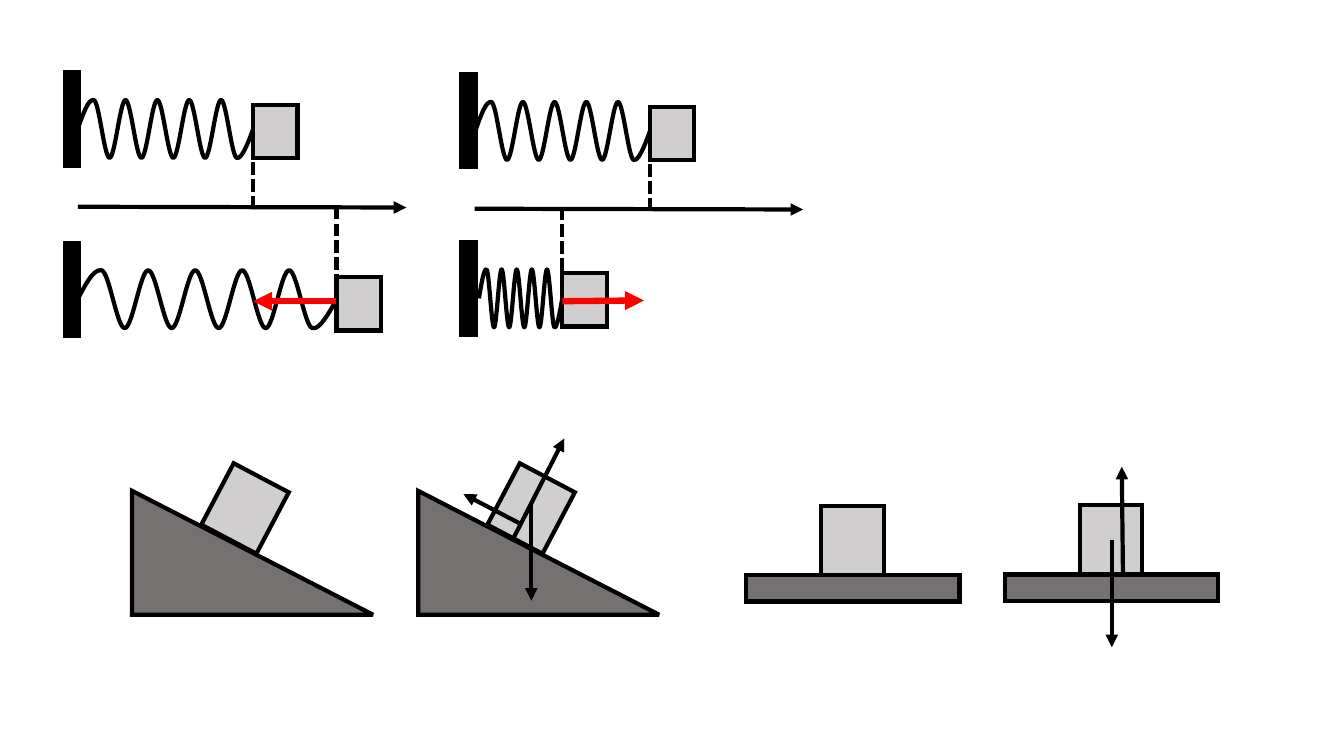
from dataclasses import dataclass
from lxml.etree import SubElement
from pptx import Presentation
from pptx.dml.color import RGBColor
from pptx.enum.dml import MSO_LINE
from pptx.enum.shapes import MSO_CONNECTOR, MSO_SHAPE
from pptx.oxml.ns import qn
from pptx.util import Cm, Pt


@dataclass
class Theme:
    ink: RGBColor = RGBColor(0, 0, 0)
    block: RGBColor = RGBColor(0xD0, 0xCE, 0xCE)
    ground: RGBColor = RGBColor(0x76, 0x71, 0x71)
    force: RGBColor = RGBColor(0xFF, 0, 0)
    thin: float = 3
    thick: float = 4.5


theme = Theme()
deck = Presentation()
deck.slide_width, deck.slide_height = Cm(33.87), Cm(19.05)
shapes = deck.slides.add_slide(deck.slide_layouts[6]).shapes


def solid(kind, x, y, wide, high, fill, turn=0):
    shape = shapes.add_shape(kind, Cm(x), Cm(y), Cm(wide), Cm(high))
    shape.shadow.inherit = False
    shape.rotation = turn
    shape.fill.solid()
    shape.fill.fore_color.rgb = fill
    shape.line.color.rgb = theme.ink
    shape.line.width = Pt(theme.thin)
    edge = shape.element.spPr.find(qn("a:ln"))
    SubElement(edge, qn("a:miter"), lim="800000")


def stroke(start, end, color=theme.ink, width=theme.thin, dots=False):
    line = shapes.add_connector(MSO_CONNECTOR.STRAIGHT, *map(Cm, start + end))
    line.line.color.rgb = color
    line.line.width = Pt(width)
    prop = line.element.spPr
    if dots:
        line.line.dash_style = MSO_LINE.SQUARE_DOT
    else:
        SubElement(prop.find(qn("a:ln")), qn("a:tailEnd"), type="triangle")
    SubElement(prop, qn("a:effectLst"))


step, swing = 0.0908, 0.73
knots = [(n * step, swing * (-1) ** n) for n in range(1, 11)]
curve = [(0.033, -0.41), (0.06, -0.75), (step, -swing)]
for (left, high), (right, low) in zip(knots, knots[1:]):
    curve += [(left + step / 3, high), (right - step / 3, low), (right, low)]
curve += [(0.94, 0.8), (1, 0), (1, 0)]

springs = [
    (1.63, 1.83, 1.96, 4.42, 2.64),
    (1.63, 6.12, 1.96, 6.52, 6.98),
    (11.63, 1.88, 11.98, 4.4, 2.69),
    (11.63, 6.1, 12.07, 2.1, 6.88),
]
for wall, top, start, span, lid in springs:
    mid = top + 1.42
    pen = shapes.build_freeform(Cm(start), Cm(mid))
    pen.add_line_segments(
        [(Cm(start + x * span), Cm(mid + y)) for x, y in curve], close=False)
    coil = pen.convert_to_shape()
    coil.shadow.inherit = False
    coil.fill.background()
    coil.line.color.rgb = theme.ink
    coil.line.width = Pt(theme.thin)
    trace = next(coil.element.iter(qn("a:path")))
    parts = trace.findall(qn("a:lnTo"))
    for n in range(0, len(parts), 3):
        bend = SubElement(trace, qn("a:cubicBezTo"))
        for part in parts[n:n + 3]:
            bend.append(part[0])
            trace.remove(part)
    solid(MSO_SHAPE.RECTANGLE, wall, top, 0.36, 2.34, theme.ink)
    solid(MSO_SHAPE.RECTANGLE, start + span, lid, 1.12, 1.35, theme.block)

for x, y in [(1.96, 5.21), (11.96, 5.26)]:
    stroke((x, y), (x + 8.28, y + 0.02))
for x, top, end in [(6.38, 4.09, 5.23), (8.48, 5.21, 7.54),
                    (16.38, 4.14, 5.28), (14.17, 5.23, 7.57)]:
    stroke((x, top), (x, end), dots=True)
for start, end in [((8.48, 7.59), (6.38, 7.59)), ((14.17, 7.59), (16.23, 7.57))]:
    stroke(start, end, theme.force, theme.thick)

for x in (3.33, 10.54):
    solid(MSO_SHAPE.RECTANGLE, x + 2.06, 11.94, 1.57, 1.75, theme.block, 27.8)
    solid(MSO_SHAPE.RIGHT_TRIANGLE, x, 12.37, 6.07, 3.12, theme.ground)

for x, y in [(18.8, 14.5), (25.32, 14.48)]:
    solid(MSO_SHAPE.RECTANGLE, x + 1.9, y - 1.75, 1.57, 1.75, theme.block)
    solid(MSO_SHAPE.RECTANGLE, x, y, 5.38, 0.66, theme.ground)

for start, end in [
    ((13.39, 12.7), (13.39, 15.14)),
    ((12.9, 13.64), (14.22, 11.05)),
    ((13.08, 13.18), (11.68, 12.45)),
    ((28.02, 13.61), (28.02, 16.31)),
    ((28.3, 14.48), (28.27, 11.76)),
]:
    stroke(start, end)

deck.save("out.pptx")
